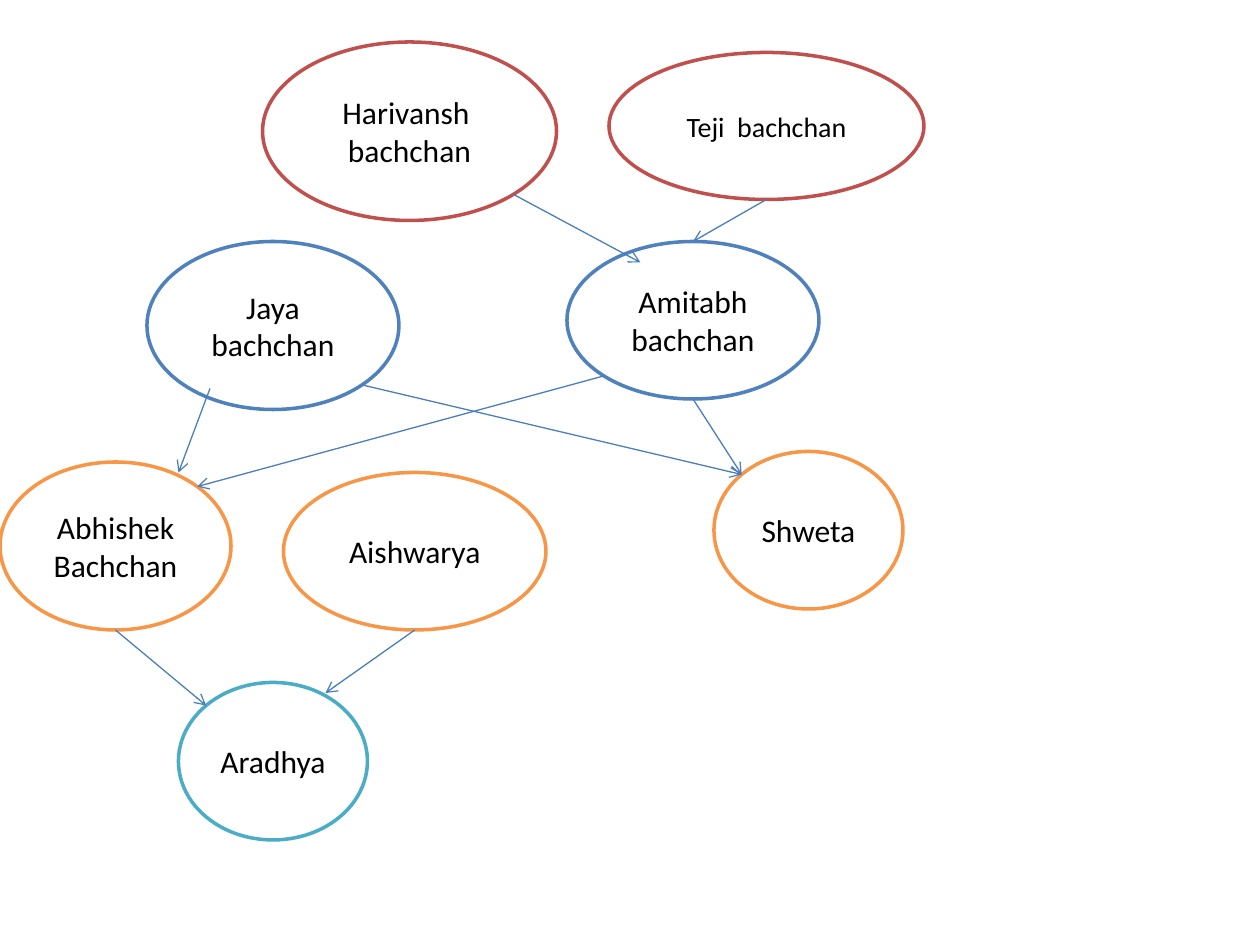
import math

from lxml import etree
from pptx import Presentation
from pptx import util as u
from pptx.dml.color import RGBColor
from pptx.enum import shapes, text
from pptx.oxml.ns import qn

WHITE = RGBColor(0xFF, 0xFF, 0xFF)
BLACK = RGBColor(0x00, 0x00, 0x00)
RED = RGBColor(0xC0, 0x50, 0x4D)
BLUE = RGBColor(0x4F, 0x81, 0xBD)
ORANGE = RGBColor(0xF7, 0x96, 0x46)
TEAL = RGBColor(0x4B, 0xAC, 0xC6)
ARROW = RGBColor(0x4B, 0x7E, 0xBC)

COLS, ROWS = 120, 90  # grid cells of 1/12 inch

# Compass points on an ellipse, in degrees clockwise from the right
SITES = {"SE": 45, "S": 90, "SW": 135, "NW": 225, "N": 270, "NE": 315}

# name: (label, column, row, columns wide, rows high, outline, text size)
PEOPLE = {
    "harivansh": ("Harivansh  bachchan", 25, 4, 28, 17, RED, 18),
    "teji": ("Teji  bachchan", 58, 5, 30, 14, RED, 16),
    "amitabh": ("Amitabh bachchan", 54, 23, 24, 15, BLUE, 18),
    "jaya": ("Jaya bachchan", 14, 23, 24, 16, BLUE, 18),
    "shweta": ("Shweta", 68, 43, 18, 15, ORANGE, 18),
    "aishwarya": ("Aishwarya", 27, 45, 25, 15, ORANGE, 18),
    "abhishek": ("Abhishek Bachchan", 0, 44, 22, 16, ORANGE, 18),
    "aradhya": ("Aradhya", 17, 65, 18, 15, TEAL, 18),
}

# Each end is (person, compass point) or a free (column, row)
LINKS = [
    (("harivansh", "SE"), (61, 25)),
    (("teji", "S"), ("amitabh", "N")),
    ((20, 37), (17, 45)),
    (("jaya", "SE"), ("shweta", "NW")),
    (("amitabh", "S"), ("shweta", "NW")),
    (("amitabh", "SW"), ("abhishek", "NE")),
    (("abhishek", "S"), ("aradhya", "NW")),
    (("aishwarya", "S"), (31, 66)),
]


def write(frame, words, size=18, color=BLACK, font="Calibri",
          align=text.PP_ALIGN.CENTER, anchor=text.MSO_ANCHOR.MIDDLE):
    frame.word_wrap = True
    frame.vertical_anchor = anchor
    para = frame.paragraphs[0]
    para.alignment = align
    run = para.add_run()
    run.text = words
    run.font.name = font
    run.font.size = u.Pt(size)
    run.font.color.rgb = color


def locate(end):
    """Turn a link's end into a grid point."""
    if end[0] not in PEOPLE:
        return end
    _, col, row, wide, high, *_ = PEOPLE[end[0]]
    turn = math.radians(SITES[end[1]])
    return (col + wide / 2 * (1 + math.cos(turn)),
            row + high / 2 * (1 + math.sin(turn)))


class Tree:
    """Style and current slide of the family tree."""
    border = 2
    stroke = 0.75

    def __init__(self, deck):
        self.cell_x = deck.slide_width / COLS
        self.cell_y = deck.slide_height / ROWS
        self.slide = deck.slides.add_slide(deck.slide_layouts[6])

    def scale(self, col, row):
        return round(col * self.cell_x), round(row * self.cell_y)

    def person(self, label, col, row, wide, high, color, size):
        oval = self.slide.shapes.add_shape(
            shapes.MSO_SHAPE.OVAL, *self.scale(col, row), *self.scale(wide, high))
        oval.shadow.inherit = False
        oval.fill.solid()
        oval.fill.fore_color.rgb = WHITE
        oval.line.color.rgb = color
        oval.line.width = u.Pt(self.border)
        write(oval.text_frame, label, size=size)

    def arrow(self, start, end):
        link = self.slide.shapes.add_connector(
            shapes.MSO_CONNECTOR.STRAIGHT, *self.scale(*start), *self.scale(*end))
        link.line.color.rgb = ARROW
        link.line.width = u.Pt(self.stroke)
        props = link.line._get_or_add_ln()
        etree.SubElement(props, qn("a:tailEnd"), type="arrow")
        etree.SubElement(link._element.spPr, qn("a:effectLst"))


def main():
    deck = Presentation()
    deck.slide_width, deck.slide_height = u.Inches(10), u.Inches(7.5)
    tree = Tree(deck)
    for person in PEOPLE.values():
        tree.person(*person)
    for start, end in LINKS:
        tree.arrow(locate(start), locate(end))
    deck.save("out.pptx")


if __name__ == "__main__":
    main()
